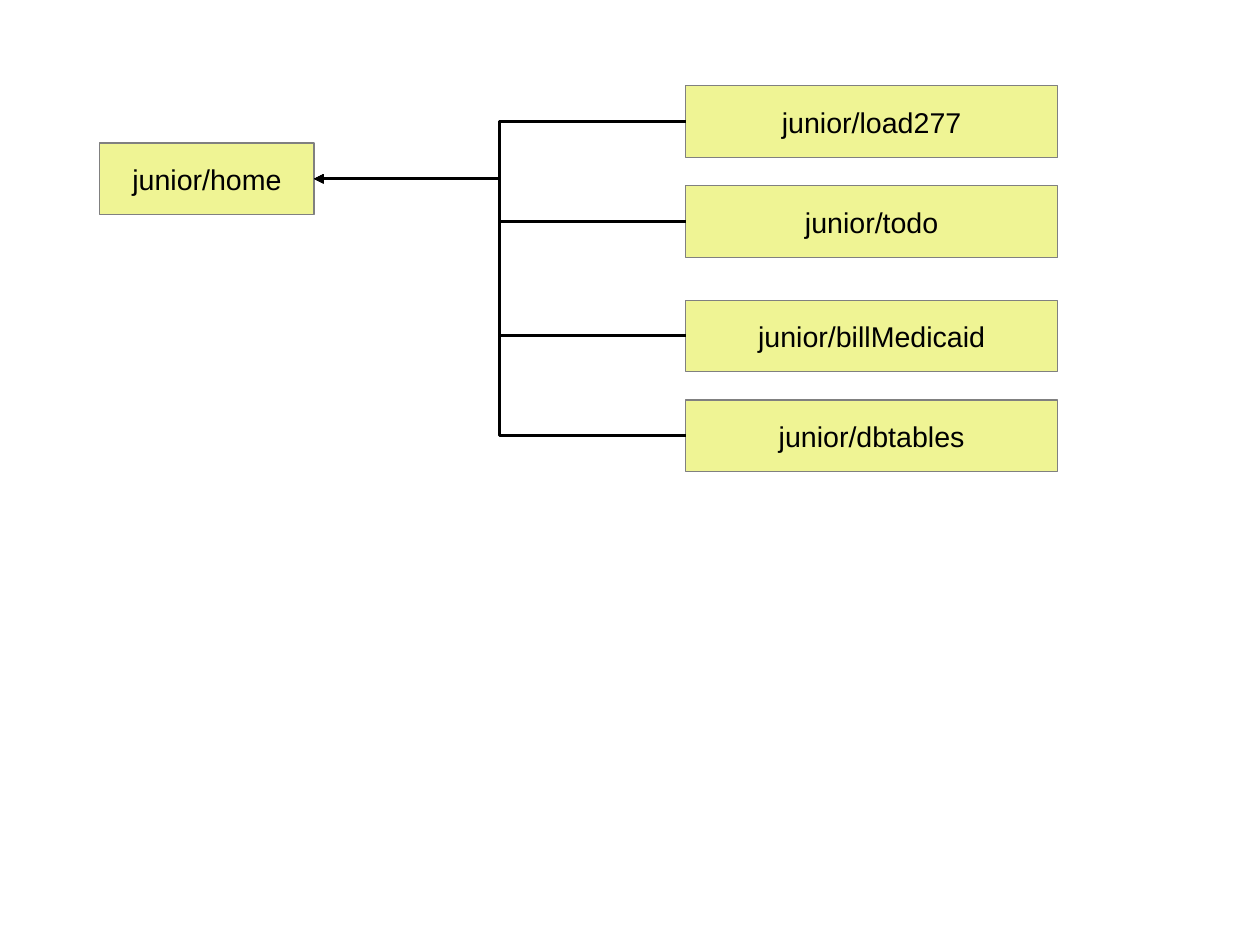
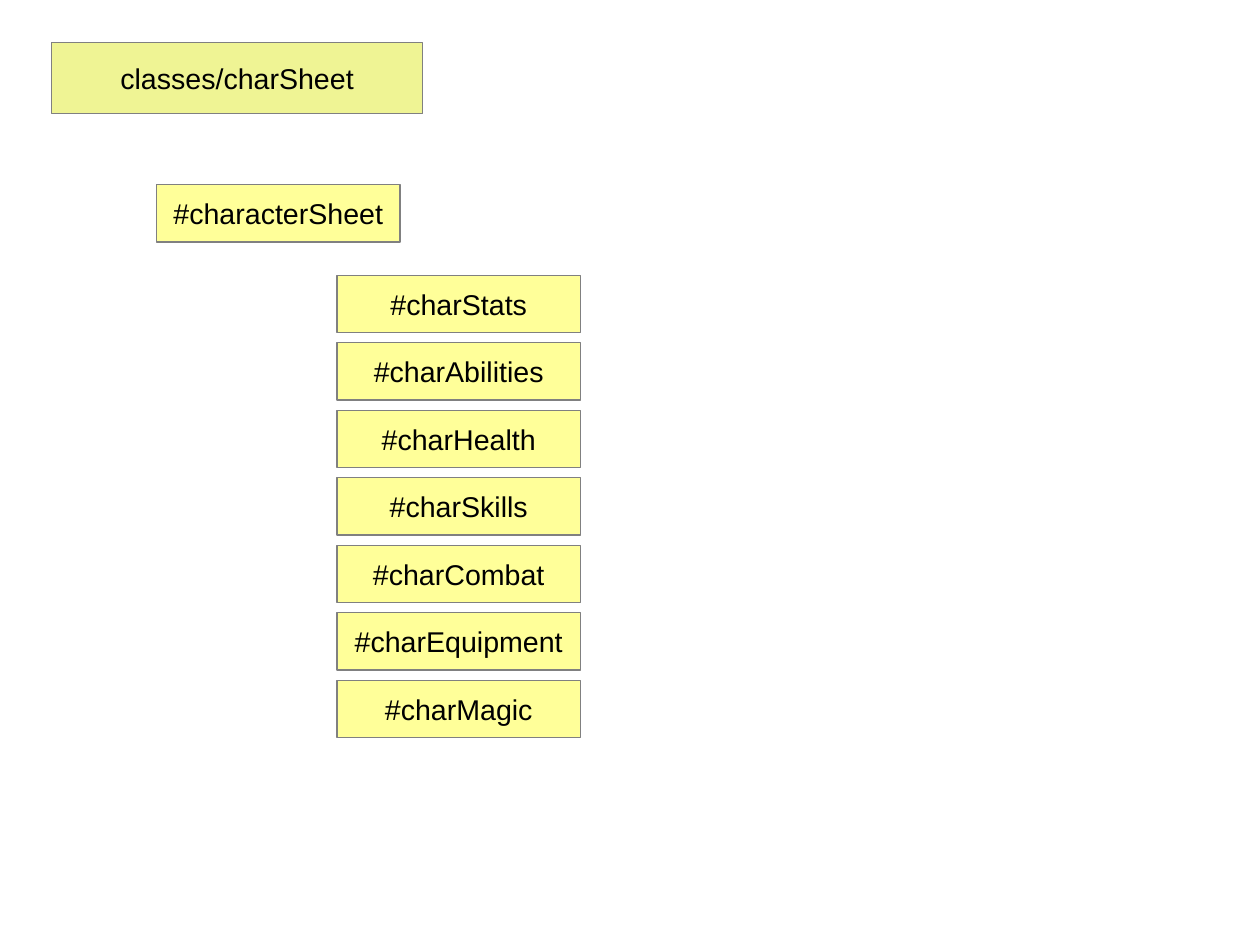
from lxml.etree import SubElement
from pptx import Presentation
from pptx.dml.color import RGBColor
from pptx.enum.shapes import MSO_CONNECTOR, MSO_SHAPE
from pptx.enum.text import MSO_ANCHOR, PP_ALIGN
from pptx.oxml.ns import qn
from pptx.util import Cm, Pt

COLORS = {
    "page": "EFF494",
    "section": "FFFF99",
    "border": "808080",
    "ink": "000000",
}
FONT = "Arial"
FONT_SIZE = Pt(18)
HAIRLINE = Pt(0)
PAGE_W, PAGE_H = 8.26, 1.59
SECTION_W, SECTION_H = 5.41, 1.27
LEFT_SITE, RIGHT_SITE = 1, 3


def rgb(name):
    return RGBColor.from_string(COLORS[name])


def add_box(slide, text, left, top, width, height, fill, wrap=True):
    sp = slide.shapes.add_shape(
        MSO_SHAPE.RECTANGLE, Cm(left), Cm(top), Cm(width), Cm(height))
    sp.shadow.inherit = False
    sp.fill.solid()
    sp.fill.fore_color.rgb = rgb(fill)
    sp.line.color.rgb = rgb("border")
    sp.line.width = HAIRLINE
    tf = sp.text_frame
    tf.word_wrap = wrap
    tf.vertical_anchor = MSO_ANCHOR.MIDDLE
    p = tf.paragraphs[0]
    p.text = text
    p.alignment = PP_ALIGN.CENTER
    p.font.name = FONT
    p.font.size = FONT_SIZE
    p.font.color.rgb = rgb("ink")
    return sp


def add_page(slide, text, left, top, width=PAGE_W):
    return add_box(slide, text, left, top, width, PAGE_H, "page")


def add_section(slide, text, left, top):
    return add_box(slide, text, left, top, SECTION_W, SECTION_H, "section", wrap=False)


def add_elbow_arrow(slide, source, target):
    cxn = slide.shapes.add_connector(MSO_CONNECTOR.ELBOW, 0, 0, 0, 0)
    cxn.begin_connect(source, LEFT_SITE)
    cxn.end_connect(target, RIGHT_SITE)
    cxn.line.color.rgb = rgb("ink")
    cxn.line.width = HAIRLINE
    SubElement(cxn.line._get_or_add_ln(), qn("a:tailEnd"), type="triangle")
    SubElement(cxn._element.spPr, qn("a:effectLst"))


def build_site_map(slide):
    home = add_page(slide, "junior/home", 2.22, 3.18, width=4.76)
    pages = [
        ("junior/load277", 1.91),
        ("junior/todo", 4.13),
        ("junior/billMedicaid", 6.67),
        ("junior/dbtables", 8.89),
    ]
    boxes = [add_page(slide, text, 15.24, top) for text, top in pages]
    for box in boxes:
        add_elbow_arrow(slide, box, home)


def build_character_sheet(slide):
    add_page(slide, "classes/charSheet", 1.14, 0.94)
    add_section(slide, "#characterSheet", 3.48, 4.11)
    sections = ["Stats", "Abilities", "Health", "Skills", "Combat", "Equipment", "Magic"]
    for i, name in enumerate(sections):
        add_section(slide, f"#char{name}", 7.49, 6.12 + 1.5 * i)


def main():
    prs = Presentation()
    prs.slide_width, prs.slide_height = Cm(28), Cm(21)
    for build in (build_site_map, build_character_sheet):
        build(prs.slides.add_slide(prs.slide_layouts[6]))
    prs.save("out.pptx")


if __name__ == "__main__":
    main()
